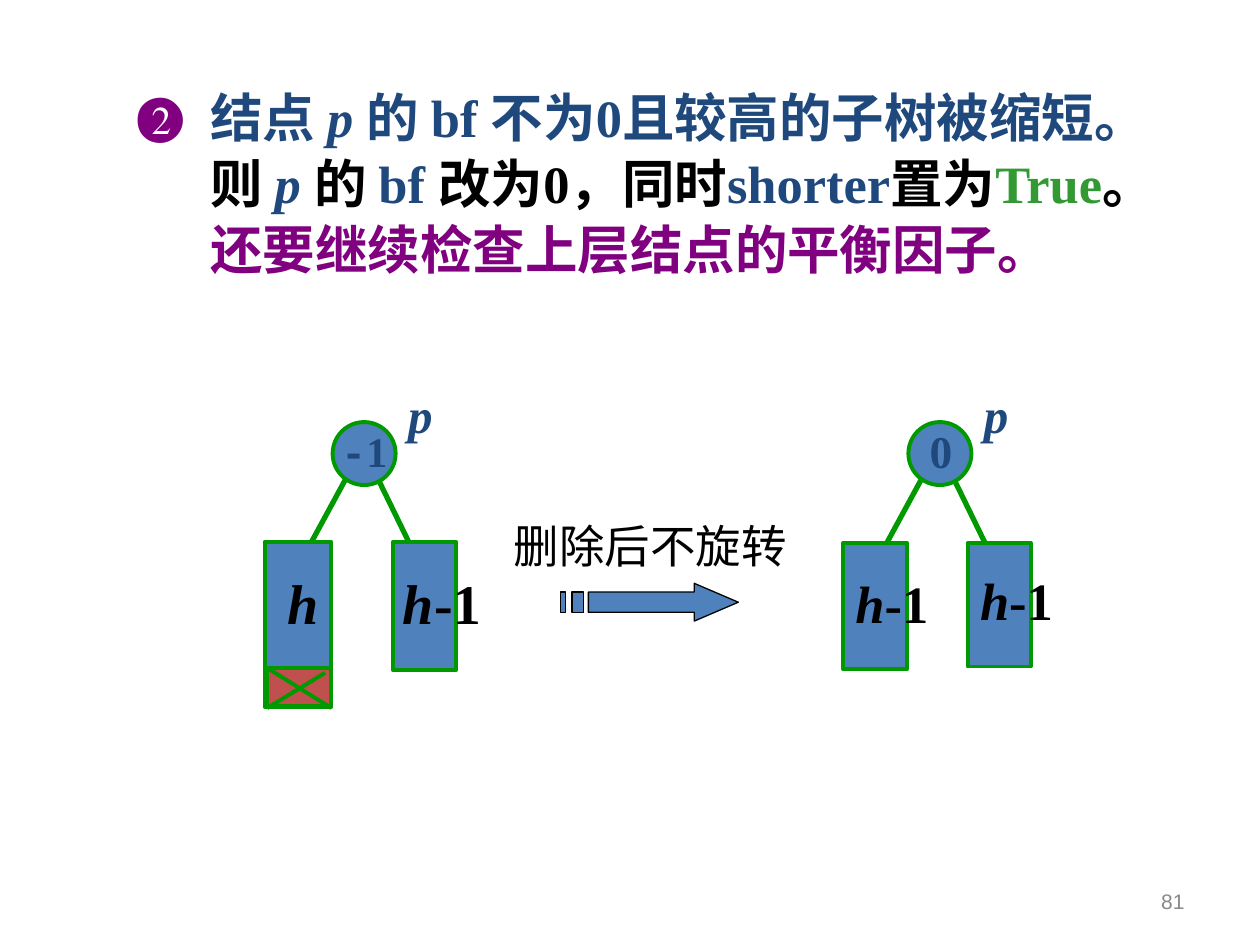
from lxml import etree
from pptx import Presentation
from pptx.dml.color import RGBColor
from pptx.enum.shapes import MSO_CONNECTOR as Connector, MSO_SHAPE as Preset
from pptx.enum.text import MSO_ANCHOR as Anchor, MSO_AUTO_SIZE as AutoSize, PP_ALIGN as Align
from pptx.oxml.ns import qn
from pptx.util import Inches, Pt

BLACK = RGBColor(0x00, 0x00, 0x00)
NAVY = RGBColor(0x1F, 0x49, 0x7D)
PURPLE = RGBColor(0x80, 0x00, 0x80)
LIGHT_GREEN = RGBColor(0x33, 0x99, 0x33)
GREEN = RGBColor(0x00, 0x99, 0x00)
BLUE = RGBColor(0x4F, 0x81, 0xBD)
RED = RGBColor(0xC0, 0x50, 0x4D)
GREY = RGBColor(0x89, 0x89, 0x89)
SERIF = "Times New Roman"

RULE_RUNS = [
    ("结点 ", NAVY, False),
    ("p ", NAVY, True),
    ("的 bf 不为0且较高的子树被缩短。", NAVY, False),
    ("则 ", BLACK, False),
    ("p ", NAVY, True),
    ("的 ", BLACK, False),
    ("bf ", NAVY, False),
    ("改为0，同时", BLACK, False),
    ("shorter", NAVY, False),
    ("置为", BLACK, False),
    ("True", LIGHT_GREEN, False),
    ("。", BLACK, False),
    ("还要继续检查上层结点的平衡因子。", PURPLE, False),
]


def add_run(paragraph, text, size, color, bold=True, italic=False, font=SERIF):
    run = paragraph.add_run()
    run.text = text
    run.font.name = font
    run.font.size = Pt(size)
    run.font.bold = bold
    run.font.italic = italic
    run.font.color.rgb = color


def add_box(slide, left, top, width, height, wrap=True, auto_size=AutoSize.SHAPE_TO_FIT_TEXT):
    """Add an empty text box and return its frame."""
    box = slide.shapes.add_textbox(Inches(left), Inches(top), Inches(width), Inches(height))
    frame = box.text_frame
    frame.word_wrap = wrap
    frame.auto_size = auto_size
    return frame


def add_rule(slide):
    """Add the numbered rule at the top, without hanging punctuation."""
    paragraph = add_box(slide, 0.49, 0.6, 9, 2.79, auto_size=AutoSize.NONE).paragraphs[0]
    properties = paragraph._p.get_or_add_pPr()
    properties.set("marL", str(Inches(1.08)))
    properties.set("indent", str(Inches(-0.58)))
    properties.set("hangingPunct", "0")
    bullet_color = etree.SubElement(properties, qn("a:buClr"))
    etree.SubElement(bullet_color, qn("a:srgbClr"), val=str(PURPLE))
    etree.SubElement(properties, qn("a:buFont"), typeface=SERIF)
    etree.SubElement(properties, qn("a:buChar"), char="❷")
    paragraph.line_spacing = 1.05
    for text, color, italic in RULE_RUNS:
        add_run(paragraph, text, 30, color, italic=italic)


def add_page_number(slide):
    frame = add_box(slide, 7.17, 6.95, 2.33, 0.4, auto_size=AutoSize.NONE)
    frame.vertical_anchor = Anchor.MIDDLE
    paragraph = frame.paragraphs[0]
    paragraph.alignment = Align.RIGHT
    add_run(paragraph, "81", 12, GREY, bold=False, font="Arial")


def style_shape(shape, fill, line, width):
    shape.shadow.inherit = False
    shape.fill.solid()
    shape.fill.fore_color.rgb = fill
    shape.line.color.rgb = line
    shape.line.width = Pt(width)


def add_striped_arrow(slide):
    top, bottom = 4.7, 4.86
    arrow = [(5.51, 4.63), (5.51, top), (4.67, top), (4.67, bottom),
             (5.51, bottom), (5.51, 4.93), (5.86, 4.78)]
    stripes = [[(left, top), (left, bottom), (right, bottom), (right, top)]
               for left, right in [(4.54, 4.63), (4.45, 4.49)]]
    builder = slide.shapes.build_freeform(Inches(arrow[0][0]), Inches(arrow[0][1]))
    for outline in (arrow, *stripes):
        start, *others = [(Inches(x), Inches(y)) for x, y in outline]
        if outline is not arrow:
            builder.move_to(*start)
        builder.add_line_segments(others)
    style_shape(builder.convert_to_shape(), BLUE, BLACK, 0.75)


def add_node(slide, preset, left, top, width, height, fill=BLUE):
    shape = slide.shapes.add_shape(
        preset, Inches(left), Inches(top), Inches(width), Inches(height))
    style_shape(shape, fill, GREEN, 2.25)


def add_line(slide, start, end, width):
    points = [Inches(value) for value in (*start, *end)]
    line = slide.shapes.add_connector(Connector.STRAIGHT, *points)
    line.line.color.rgb = GREEN
    line.line.width = Pt(width)
    etree.SubElement(line._element.spPr, qn("a:effectLst"))


def add_height_label(slide, left, top, width, height, size, suffix=""):
    paragraph = add_box(slide, left, top, width, height).paragraphs[0]
    add_run(paragraph, "h", size, BLACK, italic=True)
    if suffix:
        add_run(paragraph, suffix, size, BLACK)


def add_tree(slide, root_left, left_subtree, right_subtree):
    """Add node p with its two edges and subtree rectangles."""
    label = add_box(slide, root_left + 0.5, 3, 0.52, 0.57).paragraphs[0]
    add_run(label, "p", 28, NAVY, italic=True)
    add_line(slide, (root_left + 0.34, 3.76), (root_left + 0.75, 4.6), 3)
    add_line(slide, (root_left + 0.17, 3.68), (root_left - 0.33, 4.6), 3)
    add_node(slide, Preset.OVAL, root_left, 3.35, 0.5, 0.5)
    for bounds in (left_subtree, right_subtree):
        add_node(slide, Preset.RECTANGLE, *bounds)


def add_tree_before(slide):
    add_tree(slide, 2.64, (2.1, 4.3, 0.53, 1.31), (3.12, 4.3, 0.5, 1.02))
    add_node(slide, Preset.RECTANGLE, 2.12, 5.3, 0.51, 0.3, RED)
    add_line(slide, (2.58, 5.34), (2.12, 5.62), 2.25)
    add_line(slide, (2.12, 5.3), (2.63, 5.62), 2.25)
    balance = add_box(slide, 2.61, 3.33, 0.58, 0.5).paragraphs[0]
    add_run(balance, "-", 24, NAVY, font="Courier New")
    add_run(balance, "1", 24, NAVY)
    add_height_label(slide, 2.18, 4.46, 0.42, 0.64, 32)
    add_height_label(slide, 3.1, 4.46, 0.87, 0.64, 32, "-1")


def add_tree_after(slide):
    add_tree(slide, 7.21, (6.69, 4.31, 0.51, 1), (7.68, 4.31, 0.5, 0.98))
    balance = add_box(slide, 7.28, 3.31, 0.58, 0.54).paragraphs[0]
    add_run(balance, "0", 26, NAVY)
    add_height_label(slide, 6.69, 4.48, 0.83, 0.6, 30, "-1")
    add_height_label(slide, 7.68, 4.46, 0.83, 0.6, 30, "-1")


def main():
    presentation = Presentation()
    presentation.slide_width = Inches(10)
    presentation.slide_height = Inches(7.5)
    slide = presentation.slides.add_slide(presentation.slide_layouts[6])
    add_rule(slide)
    add_page_number(slide)
    add_striped_arrow(slide)
    caption = add_box(slide, 3.98, 4.06, 2.37, 0.54, wrap=False).paragraphs[0]
    add_run(caption, "删除后不旋转", 26, BLACK, bold=False)
    add_tree_before(slide)
    add_tree_after(slide)
    presentation.save("out.pptx")


if __name__ == "__main__":
    main()
